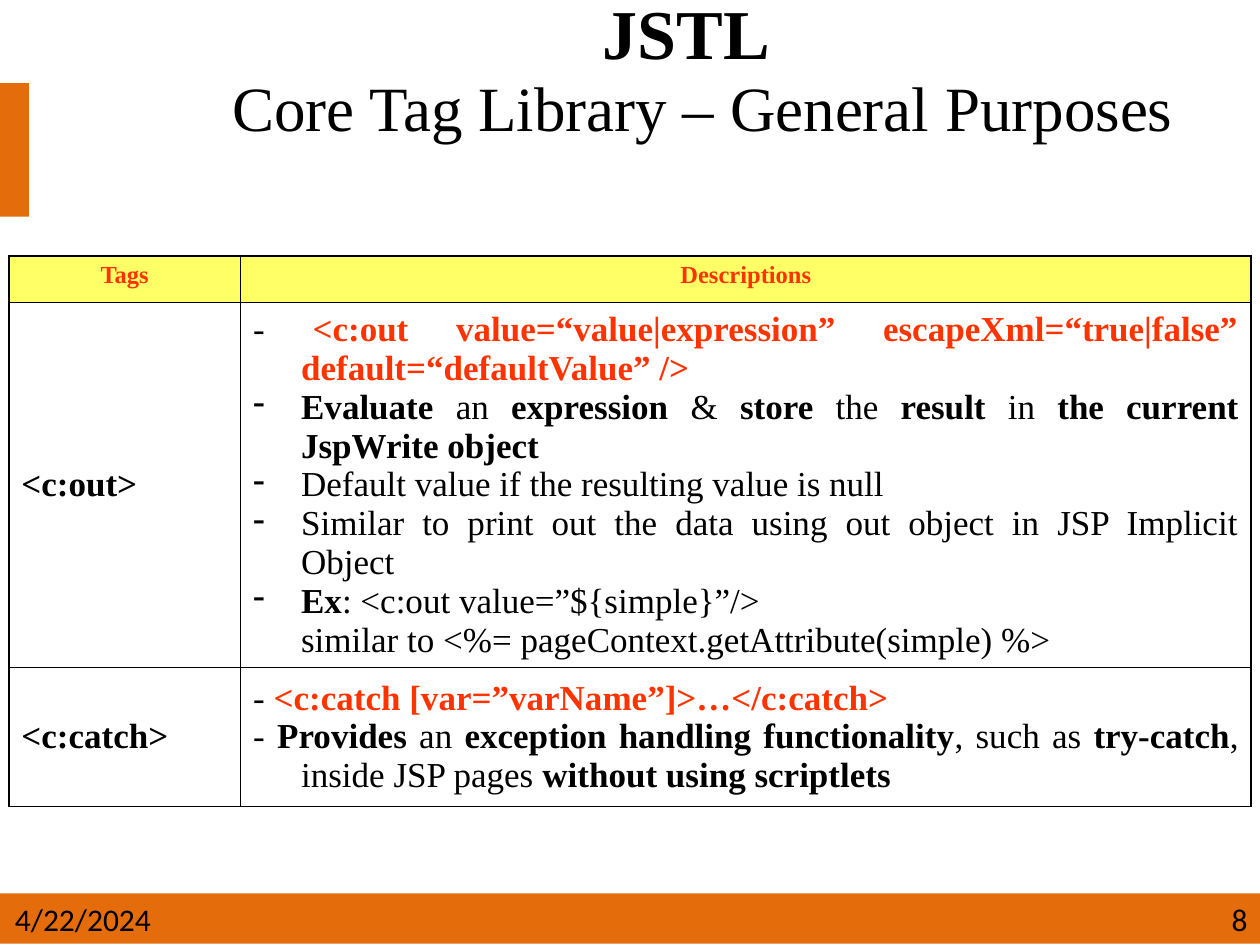
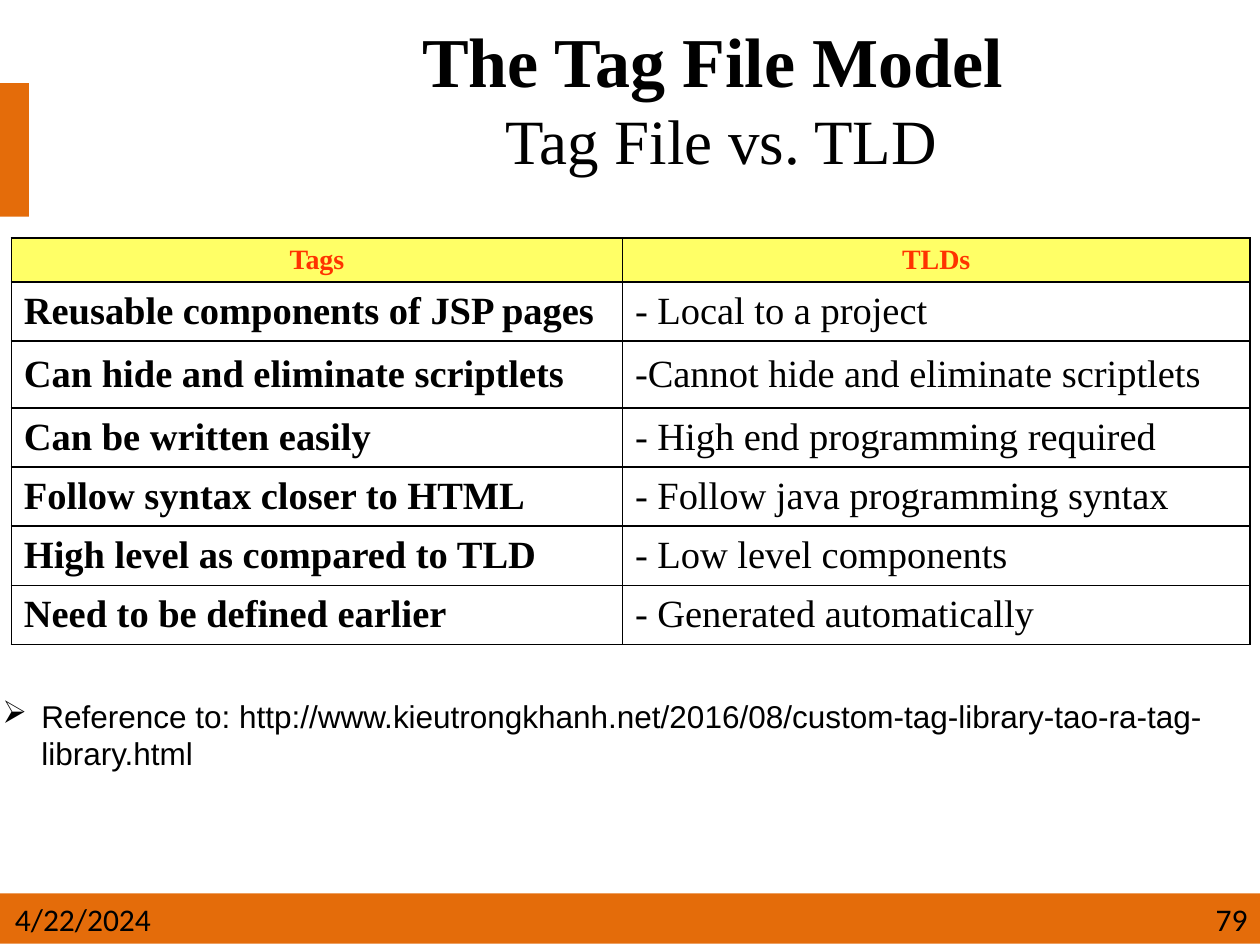
import pptx
import pptx.util
import pptx.dml.color
import pptx.enum.shapes
import pptx.enum.text
import pptx.oxml
import pptx.oxml.ns
from lxml import etree

Inches = pptx.util.Inches
Pt = pptx.util.Pt
Align = pptx.enum.text.PP_ALIGN
Anchor = pptx.enum.text.MSO_ANCHOR

BLACK, WHITE, ORANGE = "000000", "FFFFFF", "E46C0A"
RED, YELLOW = "FF3300", "FFFF66"
SERIF = "Times New Roman"
DATE = "4/22/2024"
HANG = 0.38
BANDS = [(0, 0.66, 0.23, 1.06), (0, 7.09, 10, 0.4)]

CORE_TAGS = {
    "page": "8",
    "title": [[("JSTL ", 40, True)],
              [(" ", 44, True), ("Core Tag Library – General Purposes", 36, False)]],
    "title_box": (1, 0, 9, 1.21),
    "title_spacing": 0.8,
    "table_at": (0.07, 2.03),
    "columns": [1.84, 8.02],
    "row_heights": [0.37, 2.9, 1.1],
    "sizes": (14, 20),
    "header": ["Tags", "Descriptions"],
    "rows": [
        (["**<c:out>**"], [
            {"text": "- **<c:out value=“value|expression” escapeXml=“true|false” "
                     "default=“defaultValue” />**", "strong": RED},
            {"text": "**Evaluate** an **expression** & **store** the **result** in "
                     "**the current JspWrite object**", "bullet": "-"},
            {"text": "Default value if the resulting value is null", "bullet": "-"},
            {"text": "Similar to print out the data using out object in JSP "
                     "Implicit Object", "bullet": "-"},
            {"text": "**Ex**: <c:out value=”${simple}”/>", "bullet": "-"},
            {"text": "similar to <%= pageContext.getAttribute(simple) %>", "first": 0},
        ]),
        (["**<c:catch>**"], [
            {"text": "- **<c:catch [var=”varName”]>…</c:catch>**", "strong": RED},
            "- **Provides** an **exception handling functionality**, such as "
            "**try-catch**, inside JSP pages **without using scriptlets**",
        ]),
    ],
    "body_align": (Align.LEFT, Align.JUSTIFY),
}

TAG_FILE_VS_TLD = {
    "page": "79",
    "title": [[("The Tag File Model ", 40, True)], [("Tag File vs. TLD", 36, False)]],
    "title_box": (1.45, 0, 8.55, 1.55),
    "title_spacing": 1,
    "table_at": (0.09, 1.89),
    "columns": [4.85, 4.98],
    "row_heights": [0.33, 0.47, 0.53, 0.47, 0.47, 0.47, 0.47],
    "sizes": (16, 22),
    "header": ["Tags", "TLDs"],
    "rows": [
        (["**Reusable components of JSP pages**"], ["- Local to a project"]),
        (["**Can hide and eliminate scriptlets**"], ["-Cannot hide and eliminate scriptlets"]),
        (["**Can be written easily**"], ["- High end programming required"]),
        (["**Follow syntax closer to HTML**"], ["- Follow java programming syntax"]),
        (["**High level as compared to TLD**"], ["- Low level components"]),
        (["**Need to be defined earlier**"], ["- Generated automatically"]),
    ],
    "body_align": (Align.LEFT, Align.LEFT),
}

REFERENCE = ("Reference to: http://www.kieutrongkhanh.net/2016/08/"
             "custom-tag-library-tao-ra-tag-library.html")


def rgb(color):
    return pptx.dml.color.RGBColor.from_string(color)


def inches(box):
    return [Inches(value) for value in box]


def set_font(font, size, name=SERIF, color=BLACK):
    font.size = Pt(size)
    font.name = name
    font.color.rgb = rgb(color)


def set_indent(paragraph, margin, first, bullet=None):
    properties = paragraph._p.get_or_add_pPr()
    properties.set("marL", str(Inches(margin)))
    properties.set("indent", str(Inches(first)))
    if bullet:
        mark = etree.SubElement(properties, pptx.oxml.ns.qn("a:buChar"))
        mark.set("char", bullet)
    else:
        etree.SubElement(properties, pptx.oxml.ns.qn("a:buNone"))


def add_marked_runs(paragraph, text, strong):
    for index, part in enumerate(text.split("**")):
        if part:
            run = paragraph.add_run()
            run.text = part
            run.font.bold = index % 2 == 1
            if run.font.bold and strong:
                run.font.color.rgb = rgb(strong)


def fill_cell(cell, entries, size, align, color=BLACK):
    frame = cell.text_frame
    for index, entry in enumerate(entries):
        item = {"text": entry} if isinstance(entry, str) else entry
        paragraph = frame.add_paragraph() if index else frame.paragraphs[0]
        set_indent(paragraph, HANG, item.get("first", -HANG), item.get("bullet"))
        paragraph.alignment = align
        set_font(paragraph.font, size, color=color)
        add_marked_runs(paragraph, item["text"], item.get("strong"))


def add_borders(cell):
    properties = cell._tc.get_or_add_tcPr()
    for index, side in enumerate(("lnL", "lnR", "lnT", "lnB")):
        properties.insert(index, pptx.oxml.parse_xml(
            f'<a:{side} {pptx.oxml.ns.nsdecls("a")} w="{Pt(1)}"><a:solidFill>'
            f'<a:srgbClr val="{BLACK}"/></a:solidFill></a:{side}>'))


def add_comparison(slide, content):
    rows, columns = content["row_heights"], content["columns"]
    table = slide.shapes.add_table(
        len(rows), len(columns),
        *inches((*content["table_at"], sum(columns), sum(rows)))).table
    table.first_row = table.horz_banding = False
    for column, width in zip(table.columns, columns):
        column.width = Inches(width)
    for row, height in zip(table.rows, rows):
        row.height = Inches(height)
    header_size, body_size = content["sizes"]
    for index, heading in enumerate(content["header"]):
        cell = table.cell(0, index)
        fill_cell(cell, [f"**{heading}**"], header_size, Align.CENTER, RED)
        cell.fill.solid()
        cell.fill.fore_color.rgb = rgb(YELLOW)
    for row_index, row in enumerate(content["rows"], 1):
        for index, entries in enumerate(row):
            cell = table.cell(row_index, index)
            fill_cell(cell, entries, body_size, content["body_align"][index])
            cell.vertical_anchor = Anchor.MIDDLE
            cell.fill.background()
    for cell in table.iter_cells():
        add_borders(cell)


def add_text(slide, box, text, name, align=Align.LEFT, bullet=None):
    frame = slide.shapes.add_textbox(*inches(box)).text_frame
    frame.word_wrap = True
    paragraph = frame.paragraphs[0]
    if bullet:
        set_indent(paragraph, 0.31, -0.31, bullet)
    paragraph.alignment = align
    set_font(paragraph.font, 18, name)
    paragraph.add_run().text = text


def format_title(title, content):
    title.left, title.top, title.width, title.height = inches(content["title_box"])
    frame = title.text_frame
    frame.auto_size = pptx.enum.text.MSO_AUTO_SIZE.NONE
    frame.vertical_anchor = Anchor.MIDDLE
    paragraph = frame.paragraphs[0]
    paragraph.alignment = Align.CENTER
    paragraph.line_spacing = float(content["title_spacing"])
    set_font(paragraph.font, 40)
    for index, line in enumerate(content["title"]):
        if index:
            paragraph.add_line_break()
        for text, size, bold in line:
            run = paragraph.add_run()
            run.text = text
            run.font.size = Pt(size)
            run.font.bold = bold


def add_content_slide(deck, content):
    slide = deck.slides.add_slide(deck.slide_layouts[5])
    slide.background.fill.solid()
    slide.background.fill.fore_color.rgb = rgb(WHITE)
    for box in BANDS:
        band = slide.shapes.add_shape(pptx.enum.shapes.MSO_SHAPE.RECTANGLE, *inches(box))
        band.shadow.inherit = False
        band.fill.solid()
        band.fill.fore_color.rgb = rgb(ORANGE)
        band.line.fill.background()
    format_title(slide.shapes.title, content)
    add_comparison(slide, content)
    add_text(slide, (0.02, 7.09, 1.52, 0.4), DATE, "Calibri")
    add_text(slide, (7, 7.09, 3, 0.4), content["page"], "Calibri", Align.RIGHT)
    return slide


def main():
    deck = pptx.Presentation()
    deck.slide_width, deck.slide_height = Inches(10), Inches(7.5)
    add_content_slide(deck, CORE_TAGS)
    tag_file_slide = add_content_slide(deck, TAG_FILE_VS_TLD)
    add_text(tag_file_slide, (-0.08, 5.48, 9.99, 0.71), REFERENCE, "Arial", bullet="➢")
    deck.save("out.pptx")


if __name__ == "__main__":
    main()
